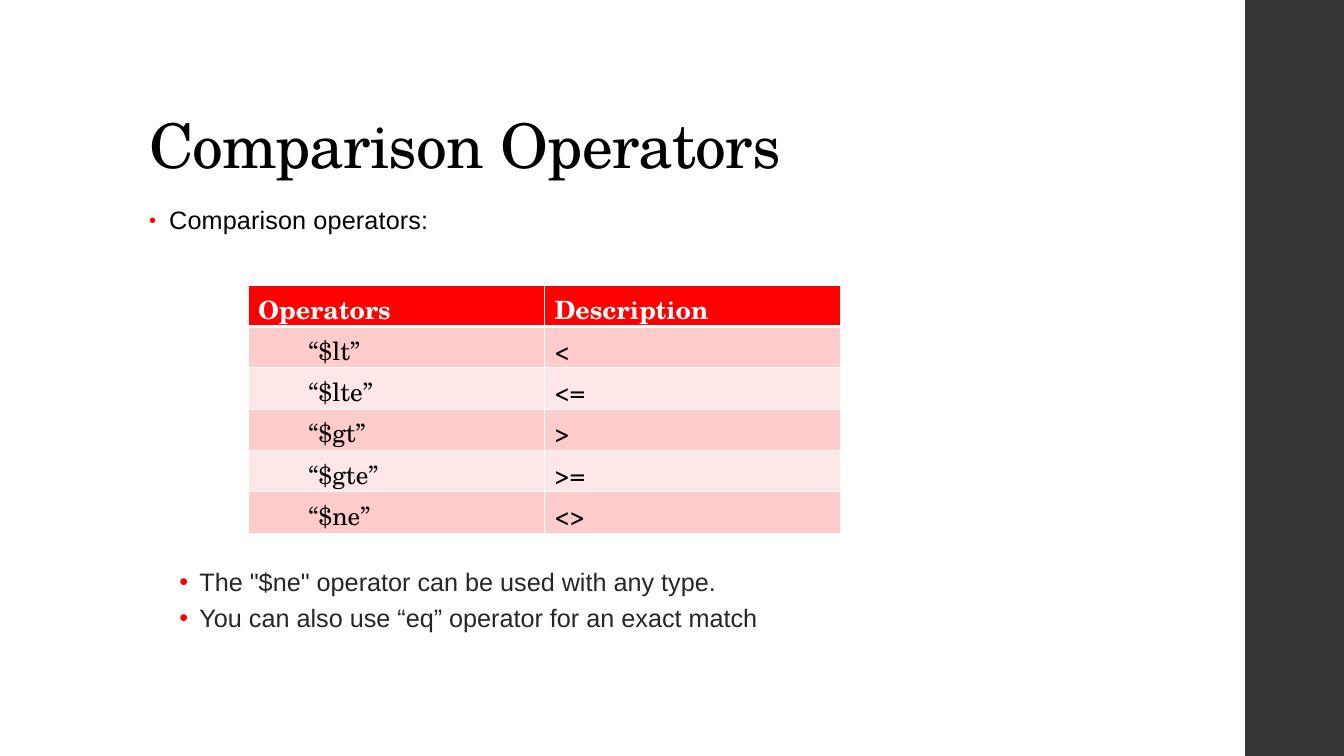
import pptx
import pptx.dml.color
import pptx.enum.shapes
import pptx.enum.text
import pptx.oxml
import pptx.oxml.ns
import pptx.util
from pptx.util import Inches

COLORS = {"white": "FFFFFF", "black": "000000", "side": "353537", "note": "262626",
          "red": "FF0000", "band_dark": "FFCCCC", "band_light": "FFE7E7"}
SERIF, SANS = "TeX Gyre Schola", "Arial"
NS = pptx.oxml.ns.nsdecls("a")


def rgb(name):
    return pptx.dml.color.RGBColor.from_string(COLORS[name])


class SlideBuilder:
    def __init__(self, slide):
        self.slide = slide

    def bar(self, left, top, width, height, color):
        bar = self.slide.shapes.add_shape(
            pptx.enum.shapes.MSO_SHAPE.RECTANGLE,
            Inches(left), Inches(top), Inches(width), Inches(height))
        bar.shadow.inherit = False
        bar.fill.solid()
        bar.fill.fore_color.rgb = rgb(color)
        bar.line.fill.background()

    def text_box(self, left, top, width, height, anchor):
        frame = self.slide.shapes.add_textbox(
            Inches(left), Inches(top), Inches(width), Inches(height)).text_frame
        frame.word_wrap = True
        frame.vertical_anchor = anchor
        return frame

    def style(self, paragraph, face, size, color, bold=False, tracking=0):
        font = paragraph.font
        font.name, font.size, font.bold = face, pptx.util.Pt(size), bold
        font.color.rgb = rgb(color)
        if tracking:
            properties = paragraph._p.get_or_add_pPr().get_or_add_defRPr()
            properties.set("spc", str(round(tracking * 100)))

    def indent(self, paragraph, margin, first_line=0):
        properties = paragraph._p.get_or_add_pPr()
        properties.set("marL", str(Inches(margin)))
        properties.set("indent", str(Inches(first_line)))
        return properties

    def bullet(self, paragraph, text, margin, spacing, before, after, size=100):
        paragraph.text = text
        paragraph.line_spacing = spacing
        paragraph.space_before = pptx.util.Pt(before)
        paragraph.space_after = pptx.util.Pt(after)
        properties = self.indent(paragraph, margin, -0.2)
        for xml in (f'<a:buClr {NS}><a:srgbClr val="{COLORS["red"]}"/></a:buClr>',
                    f'<a:buSzPct {NS} val="{size * 1000}"/>',
                    f'<a:buFont {NS} typeface="{SANS}"/>',
                    f'<a:buChar {NS} char="•"/>'):
            properties.append(pptx.oxml.parse_xml(xml))

    def borders(self, cell, top=1, bottom=1):
        properties = cell._tc.get_or_add_tcPr()
        sides = {"lnL": 1, "lnR": 1, "lnT": top, "lnB": bottom}
        for position, (side, width) in enumerate(sides.items()):
            properties.insert(position, pptx.oxml.parse_xml(
                f'<a:{side} {NS} w="{pptx.util.Pt(width)}"><a:solidFill>'
                f'<a:srgbClr val="{COLORS["white"]}"/></a:solidFill></a:{side}>'))

    def table(self, rows, left, top, column_width, row_height):
        table = self.slide.shapes.add_table(
            len(rows), len(rows[0]), Inches(left), Inches(top),
            Inches(column_width * len(rows[0])), Inches(row_height * len(rows))).table
        for column in table.columns:
            column.width = Inches(column_width)
        for r, row in enumerate(rows):
            header = r == 0
            band = "red" if header else "band_dark" if r % 2 else "band_light"
            for c, text in enumerate(row):
                cell = table.cell(r, c)
                cell.text = text
                cell.fill.solid()
                cell.fill.fore_color.rgb = rgb(band)
                self.borders(cell, top=3 if r == 1 else 1, bottom=3 if header else 1)
                paragraph = cell.text_frame.paragraphs[0]
                self.style(paragraph, SERIF, 18, "white" if header else "black", bold=header)
                if c == 0 and not header:
                    paragraph.level = 1
                    self.indent(paragraph, 0.5)


def main():
    presentation = pptx.Presentation()
    presentation.slide_width, presentation.slide_height = Inches(13.33), Inches(7.5)
    builder = SlideBuilder(presentation.slides.add_slide(presentation.slide_layouts[6]))
    anchors = pptx.enum.text.MSO_ANCHOR

    # Side bar
    builder.bar(12.35, 0, 0.98, 7.5, "side")

    # Title
    title = builder.text_box(1.38, 0.4, 10.6, 1.45, anchors.BOTTOM).paragraphs[0]
    title.text = "Comparison Operators"
    title.line_spacing = 0.9
    builder.style(title, SERIF, 44, "black", tracking=-0.5)

    # Bullets above and below the table
    body = builder.text_box(1.38, 2, 9.4, 4.76, anchors.TOP)
    intro = body.paragraphs[0]
    builder.bullet(intro, "Comparison operators:", 0.2, 0.95, 14, 2, size=80)
    builder.style(intro, SANS, 18, "black", tracking=0.1)
    notes = [('The "$ne" operator can be used with any type.', 237),
             ("You can also use “eq” operator for an exact match", 3)]
    for text, before in notes:
        note = body.add_paragraph()
        note.level = 1
        builder.bullet(note, text, 0.5, 0.9, before, 3)
        builder.style(note, SANS, 18, "note")

    # Operator table
    operators = [("Operators", "Description"), ("“$lt”", "<"), ("“$lte”", "<="),
                 ("“$gt”", ">"), ("“$gte”", ">="), ("“$ne”", "<>")]
    builder.table(operators, 2.46, 2.83, 2.94, 0.41)

    presentation.save("out.pptx")


if __name__ == "__main__":
    main()
